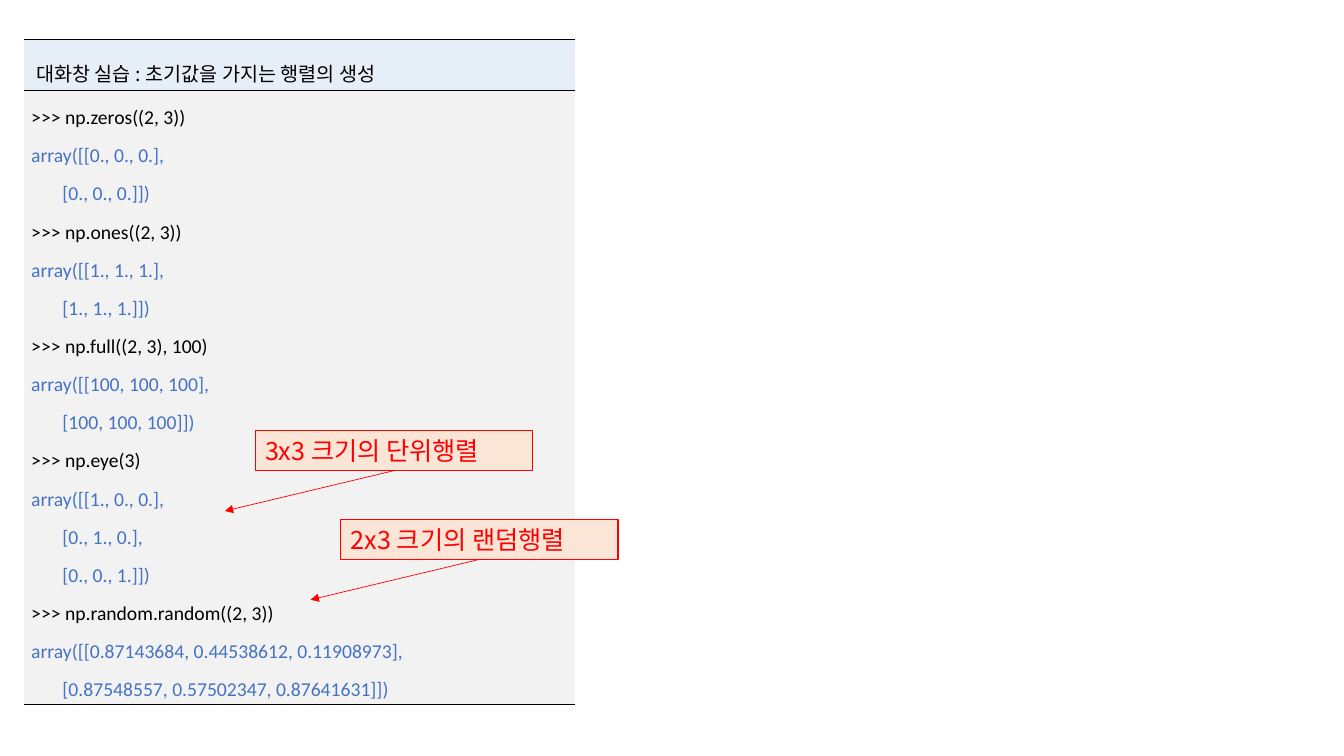
from dataclasses import dataclass

from lxml.etree import SubElement
from pptx import Presentation
from pptx.dml.color import RGBColor
from pptx.enum.shapes import MSO_CONNECTOR as Link, MSO_SHAPE as Shape
from pptx.enum.text import MSO_ANCHOR as Anchor, PP_ALIGN as Align
from pptx.oxml.ns import qn
from pptx.slide import Slide
from pptx.table import _Cell as Cell
from pptx.text.text import _Paragraph as Para
from pptx.util import Inches, Pt

KOREAN = "Noto Sans CJK KR"
LATIN = "Calibri"
BLACK, BLUE, RED = "000000", "4472C4", "FF0000"
TITLE = "대화창 실습 : 초기값을 가지는 행렬의 생성"


@dataclass
class Step:
    code: str
    reply: list[str]


@dataclass
class Note:
    text: str
    left: float
    top: float


STEPS = [
    Step("np.zeros((2, 3))", ["array([[0., 0., 0.],", "[0., 0., 0.]])"]),
    Step("np.ones((2, 3))", ["array([[1., 1., 1.],", "[1., 1., 1.]])"]),
    Step("np.full((2, 3), 100)", ["array([[100, 100, 100],", "[100, 100, 100]])"]),
    Step("np.eye(3)", ["array([[1., 0., 0.],", "[0., 1., 0.],", "[0., 0., 1.]])"]),
    Step("np.random.random((2, 3))", [
        "array([[0.87143684, 0.44538612, 0.11908973],",
        "[0.87548557, 0.57502347, 0.87641631]])",
    ]),
]

NOTES = [
    Note("3x3 크기의 단위행렬", 2.53, 4.27),
    Note("2x3 크기의 랜덤행렬", 3.38, 5.15),
]


def color(code: str) -> RGBColor:
    return RGBColor.from_string(code)


def add_run(para: Para, text: str, size: float, face: str, tint: str) -> None:
    run = para.add_run()
    run.text = text
    run.font.size = Pt(size)
    run.font.color.rgb = color(tint)
    run.font.name = face
    SubElement(run.font._element, qn("a:ea")).set("typeface", face)


def add_line(para: Para, text: str, face: str, tint: str, indent: float = 0) -> None:
    para.alignment = Align.JUSTIFY
    para.line_spacing = 1.6
    para._p.get_or_add_pPr().set("marL", str(Inches(indent)))
    add_run(para, text, 14, face, tint)


def set_edge(cell: Cell, side: str, width: float) -> None:
    edge = SubElement(cell._tc.get_or_add_tcPr(), qn(f"a:ln{side}"))
    edge.set("w", str(Pt(width)))
    if width:
        fill = SubElement(edge, qn("a:solidFill"))
        SubElement(fill, qn("a:srgbClr")).set("val", BLACK)
    else:
        SubElement(edge, qn("a:noFill"))


def style_cell(cell: Cell, fill: str, top: float) -> None:
    for side, width in zip("LRTB", (0, 0, top, 0.28)):
        set_edge(cell, side, width)
    cell.fill.solid()
    cell.fill.fore_color.rgb = color(fill)
    cell.vertical_anchor = Anchor.MIDDLE
    cell.margin_left = cell.margin_right = Inches(0.07)
    cell.margin_top = cell.margin_bottom = Inches(0.02)


def add_panel(slide: Slide) -> None:
    frame = slide.shapes.add_table(
        2, 1, Inches(0.24), Inches(0.39), Inches(5.46), Inches(6.59))
    table = frame.table
    table.first_row = table.horz_banding = False
    table.rows[0].height = Inches(0.5)
    table.rows[1].height = Inches(6.09)
    head, body = table.cell(0, 0), table.cell(1, 0)
    style_cell(head, "E6EEF7", 1)
    style_cell(body, "F2F2F2", 0.28)
    add_line(head.text_frame.paragraphs[0], TITLE, KOREAN, BLACK, 0.05)

    text = body.text_frame
    for index, step in enumerate(STEPS):
        para = text.add_paragraph() if index else text.paragraphs[0]
        add_line(para, f">>> {step.code}", LATIN, BLACK)
        for row, reply in enumerate(step.reply):
            add_line(text.add_paragraph(), reply, LATIN, BLUE, 0.31 if row else 0)


def add_note(slide: Slide, note: Note) -> None:
    box = slide.shapes.add_shape(
        Shape.RECTANGLE, Inches(note.left), Inches(note.top), Inches(2.75), Inches(0.4))
    box.shadow.inherit = False
    box.fill.solid()
    box.fill.fore_color.rgb = color("FBE5D6")
    box.line.color.rgb = color(RED)
    box.line.width = Pt(0.75)
    box.text_frame.vertical_anchor = Anchor.MIDDLE
    box.text_frame.word_wrap = True
    para = box.text_frame.paragraphs[0]
    para.alignment = Align.LEFT
    add_run(para, note.text, 18, KOREAN, RED)

    arrow = slide.shapes.add_connector(
        Link.STRAIGHT, box.left + box.width // 2, box.top + box.height,
        box.left - Inches(0.3), box.top + Inches(0.8))
    arrow.begin_connect(box, 2)
    arrow.line.color.rgb = color(RED)
    arrow.line.width = Pt(0.5)
    SubElement(arrow.line._get_or_add_ln(), qn("a:tailEnd")).set("type", "triangle")
    SubElement(arrow._element.spPr, qn("a:effectLst"))


def main() -> None:
    deck = Presentation()
    deck.slide_width, deck.slide_height = Inches(13.33), Inches(7.5)
    slide = deck.slides.add_slide(deck.slide_layouts[6])
    add_panel(slide)
    for note in NOTES:
        add_note(slide, note)
    deck.save("out.pptx")


if __name__ == "__main__":
    main()
